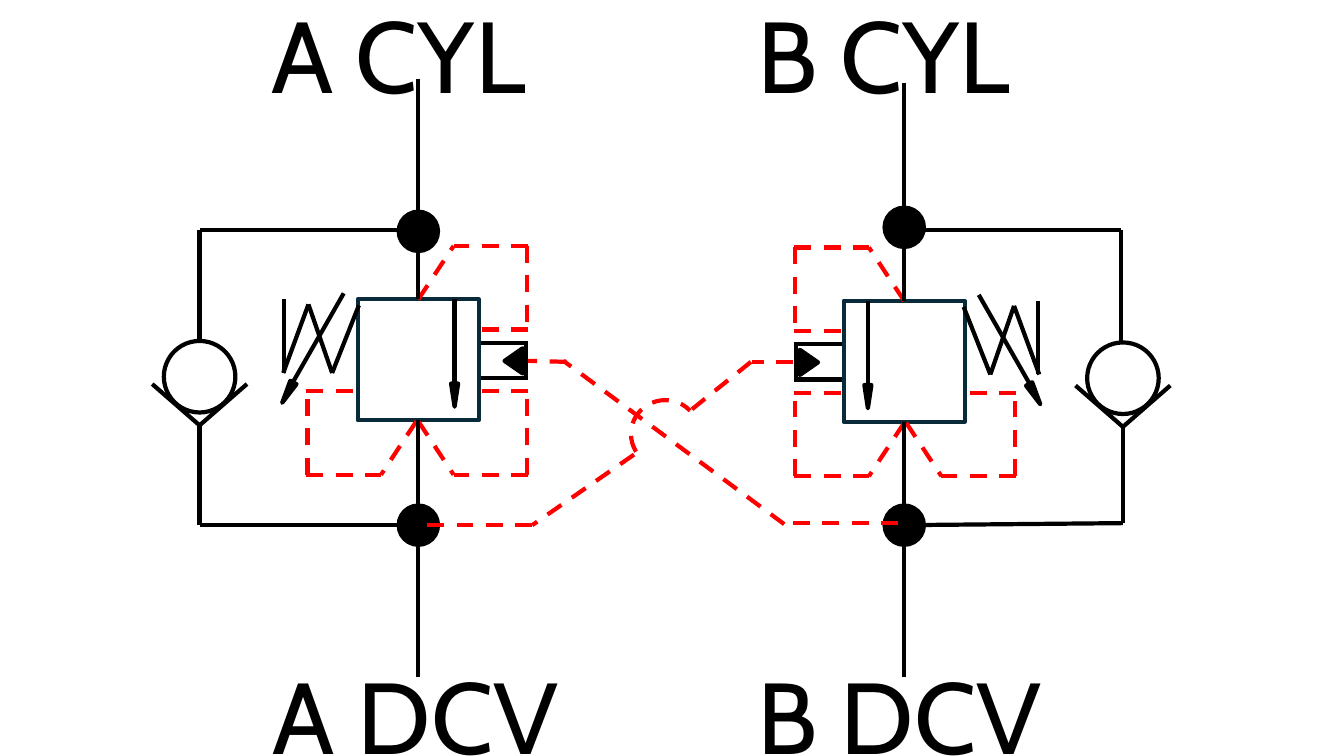
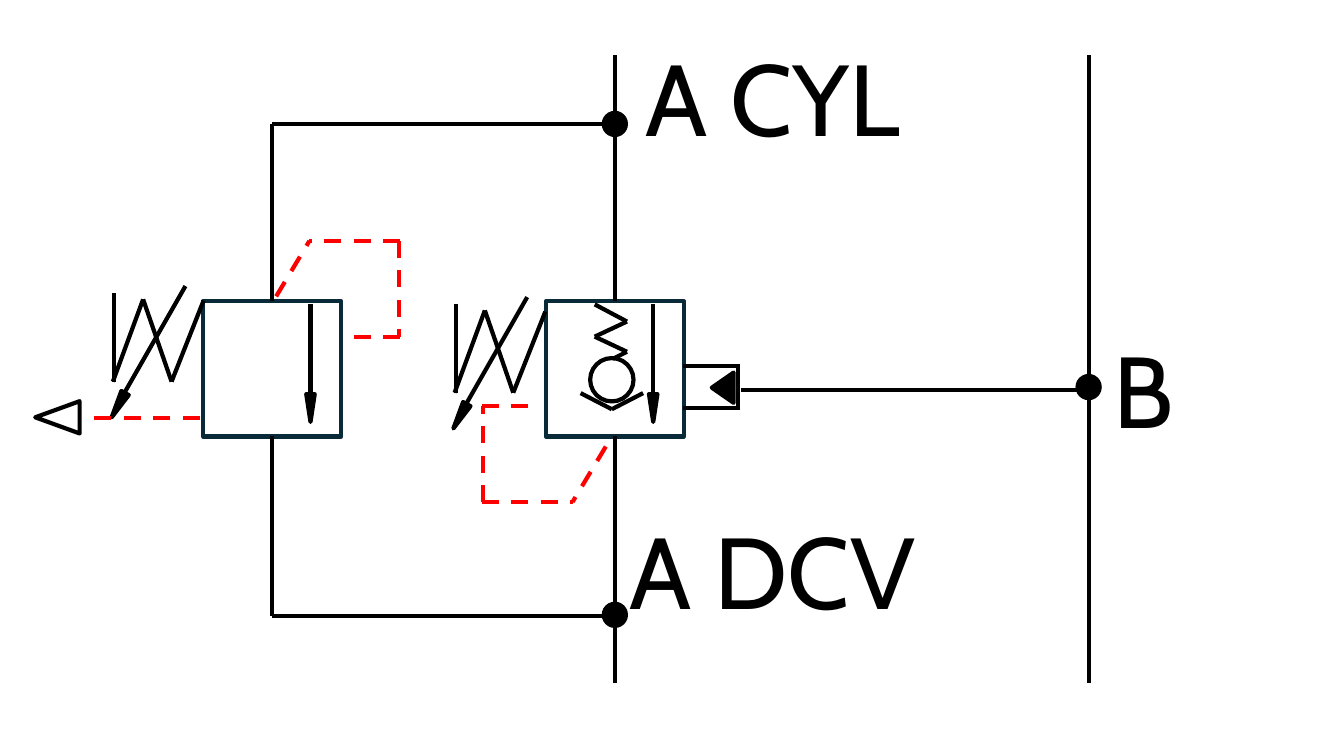
from itertools import pairwise

from lxml import etree
from pptx import Presentation
from pptx import util as u
from pptx.dml import color
from pptx.enum import dml, shapes, text
from pptx.oxml import ns

BLACK = color.RGBColor(0x00, 0x00, 0x00)
RED = color.RGBColor(0xFF, 0x00, 0x00)
NAVY = color.RGBColor(0x09, 0x2A, 0x39)

CELL = u.Inches(0.1)  # one column or row of the drawing grid
COLUMNS, ROWS = 133.33, 75
MIRROR = 131.2  # column sum of a left-hand part and its mirror twin
FONT = {"name": "Cabin", "size": u.Pt(72)}

# Feedback line: reach, rise, slant, drop, stub
SMALL_LOOP = (10.9, 5.3, 3.5, 8.3, 4.7)
BIG_LOOP = (12.3, 5.5, 3.3, 9.5, 5.7)

ARC, OVAL = shapes.MSO_SHAPE.ARC, shapes.MSO_SHAPE.OVAL
RECT, TRIANGLE = shapes.MSO_SHAPE.RECTANGLE, shapes.MSO_SHAPE.ISOSCELES_TRIANGLE


class Schematic:
    """Draws hydraulic symbols; all lengths are grid columns and rows."""

    def __init__(self, prs):
        self.prs = prs

    def new_slide(self, scale=1):
        self.s = self.prs.slides.add_slide(self.prs.slide_layouts[6])
        self.scale = scale
        self.side()

    def side(self, mirrored=False, shift=0):
        """Choose the left or mirrored right half, moved down by shift."""
        self.mirrored, self.shift = mirrored, shift

    def point(self, x, y):
        return (MIRROR - x if self.mirrored else x), y + self.shift

    def around(self, anchor, *points, flip=(1, 1)):
        """Place symbol points about an anchor, at the slide's symbol scale."""
        return [tuple(a + f * self.scale * v for a, f, v in zip(anchor, flip, p))
                for p in points]

    def stroke(self, line, rgb, weight=3, dashed=False):
        line.color.rgb = rgb
        formats = {"width": u.Pt(weight)}
        if dashed:
            formats["dash_style"] = dml.MSO_LINE.DASH
        for name, value in formats.items():
            setattr(line, name, value)

    def line(self, *points, signal=False, begin=None, end=None):
        """Join points; begin and end are (shape, site) pairs to attach to."""
        connectors = []
        for p, q in pairwise(points):
            ends = [round(v * CELL) for v in self.point(*p) + self.point(*q)]
            c = self.s.shapes.add_connector(shapes.MSO_CONNECTOR.STRAIGHT, *ends)
            self.stroke(c.line, RED if signal else BLACK, dashed=signal)
            etree.SubElement(c._element.spPr, ns.qn("a:effectLst"))
            connectors.append(c)
        if begin:
            connectors[0].begin_connect(*begin)
        if end:
            connectors[-1].end_connect(*end)

    def shape(self, kind, centre, w, h, fill=None, rgb=BLACK, weight=3,
              rotation=0, dashed=False):
        x, y = self.point(*centre)
        box = (x - w / 2, y - h / 2, w, h)
        sp = self.s.shapes.add_shape(kind, *[round(v * CELL) for v in box])
        sp.shadow.inherit = False
        sp.rotation = (360 - rotation) % 360 if self.mirrored else rotation
        if fill is None:
            sp.fill.background()
        else:
            sp.fill.solid()
            sp.fill.fore_color.rgb = fill
        self.stroke(sp.line, rgb, weight, dashed)
        return sp

    def label(self, words, x, y, w=30.8):
        tb = self.s.shapes.add_textbox(*[round(v * CELL) for v in (x, y, w, 13.1)])
        tf = tb.text_frame
        for name, value in {"word_wrap": True,
                            "auto_size": text.MSO_AUTO_SIZE.SHAPE_TO_FIT_TEXT}.items():
            setattr(tf, name, value)
        r = tf.paragraphs[0].add_run()
        r.text = words
        for name, value in FONT.items():
            setattr(r.font, name, value)
        r.font.color.rgb = BLACK

    def dot(self, x, y, size, weight=3):
        self.shape(OVAL, (x, y), size, size, fill=BLACK, weight=weight)

    def envelope(self, centre, w, h):
        return self.shape(RECT, centre, w, h, rgb=NAVY)

    def tip(self, centre, w, h, rotation):
        self.shape(TRIANGLE, centre, w * self.scale, h * self.scale,
                   fill=BLACK, rotation=rotation)

    def flow_arrow(self, x, top, length):
        self.line((x, top), (x, top + length))
        self.tip((x, top + length + 0.9 * self.scale), 0.7, 2.3, 180)

    def spring(self, *anchor):
        """Adjustable spring left of the envelope corner at anchor."""
        self.line(*self.around(anchor, (0, 0.6), (-2.65, 7.3), (-5, 0.5),
                               (-7.5, 7.3)))
        self.line(*self.around(anchor, (-7.4, 7.3), (-7.4, 0)))
        self.line(*self.around(anchor, (-1.5, -0.6), (-6.7, 8.5)))
        self.tip(*self.around(anchor, (-7.05, 9.25)), 0.7, 2.3, 208.9)

    def pilot_port(self, *anchor):
        for y in (0, 3.5):
            self.line(*self.around(anchor, (4.7, y), (0, y)))
        self.line(*self.around(anchor, (4.5, 0), (4.5, 3.5)))
        self.tip(*self.around(anchor, (3.25, 1.8)), 2.5, 1.8, 270)

    def check_valve(self, x, y, size, wing, rise):
        self.line((x - wing, y - rise), (x, y), (x + wing, y - rise))
        self.shape(OVAL, (x, y - 0.68 * size), size, size)

    def feedback(self, x, y, loop, right=1, down=1):
        """Dashed sensing line; right and down are 1 or -1."""
        reach, rise, slant, drop, stub = loop
        for pair in (((reach, rise), (slant, rise)),
                     ((reach - 0.1, rise), (reach - 0.1, rise - drop)),
                     ((0, 0), (slant, rise)),
                     ((reach, rise - drop), (reach - stub, rise - drop))):
            self.line(*[(x + right * a, y + down * b) for a, b in pair], signal=True)


def draw_dual_valve(d):
    d.new_slide()
    for words, x, y in (("A DCV", 26.1, 64.4), ("B DCV", 74.2, 64.4),
                        ("B CYL", 74.2, -1.2), ("A CYL", 25.9, -1.2)):
        d.label(words, x, y)

    main = 41.5
    # mirrored, shift, bypass column, cylinder end, upper dot, bypass bottom
    for mirrored, shift, bypass, start, upper, bottom in (
            (False, 0, 19.8, 7.8, 22.95, 52.1), (True, 0.15, 20, 8.2, 22.55, 51.9)):
        d.side(mirrored, shift)
        valve = d.envelope((main, 35.7), 12, 12)
        d.feedback(41.5, 41.8, SMALL_LOOP)
        d.feedback(41.3, 41.8, SMALL_LOOP, right=-1)
        d.feedback(41.5, 29.7, SMALL_LOOP, down=-1)
        d.flow_arrow(45.1, 29.7, 8.6)
        d.pilot_port(47.7, 34)
        d.spring(35.6, 29.7)
        d.check_valve(19.8, 42.2, 7.1, 4.7, 4.1)

        d.side(mirrored)
        d.line((main, start), (main, 29.7), end=(valve, 0))
        d.line((main, 41.7), (main, 67.2), begin=(valve, 2))
        d.line((main, 22.8), (bypass, 22.8), (bypass, 33.9))
        d.line((19.8, 42.2), (19.8, bottom), (main, 52.1))
        d.dot(main, upper, 3.9)
        d.dot(main, 52.1, 3.9)

    d.side()
    for route in (((62.9, 45.1), (52.8, 52.1)), ((52.8, 52.1), (41.5, 52.1)),
                  ((78.7, 35.9), (74.6, 35.9)), ((74.5, 35.9), (68.4, 40.8)),
                  ((56.2, 35.9), (52.4, 35.8)), ((77.8, 52), (55.9, 35.8)),
                  ((89.1, 51.9), (77.8, 51.9))):
        d.line(*route, signal=True)
    hop = d.shape(ARC, (66, 43.05), 6.8, 6.7, rgb=RED, dashed=True)
    hop.adjustments[0], hop.adjustments[1] = 89.14, 190.15


def draw_single_valve(d):
    d.new_slide(scale=1.2)
    relief, main, pilot = 27, 61, 108
    relief_box, main_box = (d.envelope((x, 36.6), 13.7, 13.4) for x in (relief, main))
    for x in (relief, main):
        d.flow_arrow(x + 3.8, 30.2, 9.2)
    d.spring(20.2, 29.1)
    d.spring(54.1, 30.2)
    d.pilot_port(67.8, 36.3)

    d.line((59, 30.2), (62.2, 31.9), (59, 33.4), (62.2, 34.9), (60.8, 35.6))
    d.check_valve(60.7, 40.6, 4.3, 3.1, 1.6)

    d.line((main, 5.5), (main, 29.9), end=(main_box, 0))
    d.line((main, 43.3), (main, 67.8), begin=(main_box, 2))
    d.line((main, 12.3), (relief, 12.3), (relief, 29.9), end=(relief_box, 0))
    d.line((relief, 43.3), (relief, 61.1), (main, 61.1), begin=(relief_box, 2))
    d.line((73.5, 38.7), (pilot, 38.7))
    d.line((pilot, 5.5), (pilot, 67.8))
    for x, y in ((main, 12.3), (pilot, 38.4), (main, 61)):
        d.dot(x, y, 2.4, weight=1.5)

    d.feedback(27.4, 29.4, BIG_LOOP, down=-1)
    d.feedback(60.1, 44.3, BIG_LOOP, right=-1)
    d.line((19.8, 41.5), (8.3, 41.5), signal=True)
    d.shape(TRIANGLE, (5.7, 41.4), 3.2, 4.4, rotation=270)

    d.label("A CYL", 63.1, 3.1)
    d.label("A DCV", 61.5, 50)
    d.label("B", 109.5, 32, w=14.2)


def main():
    prs = Presentation()
    prs.slide_width, prs.slide_height = round(COLUMNS * CELL), ROWS * CELL
    d = Schematic(prs)
    draw_dual_valve(d)
    draw_single_valve(d)
    prs.save("out.pptx")


if __name__ == "__main__":
    main()
